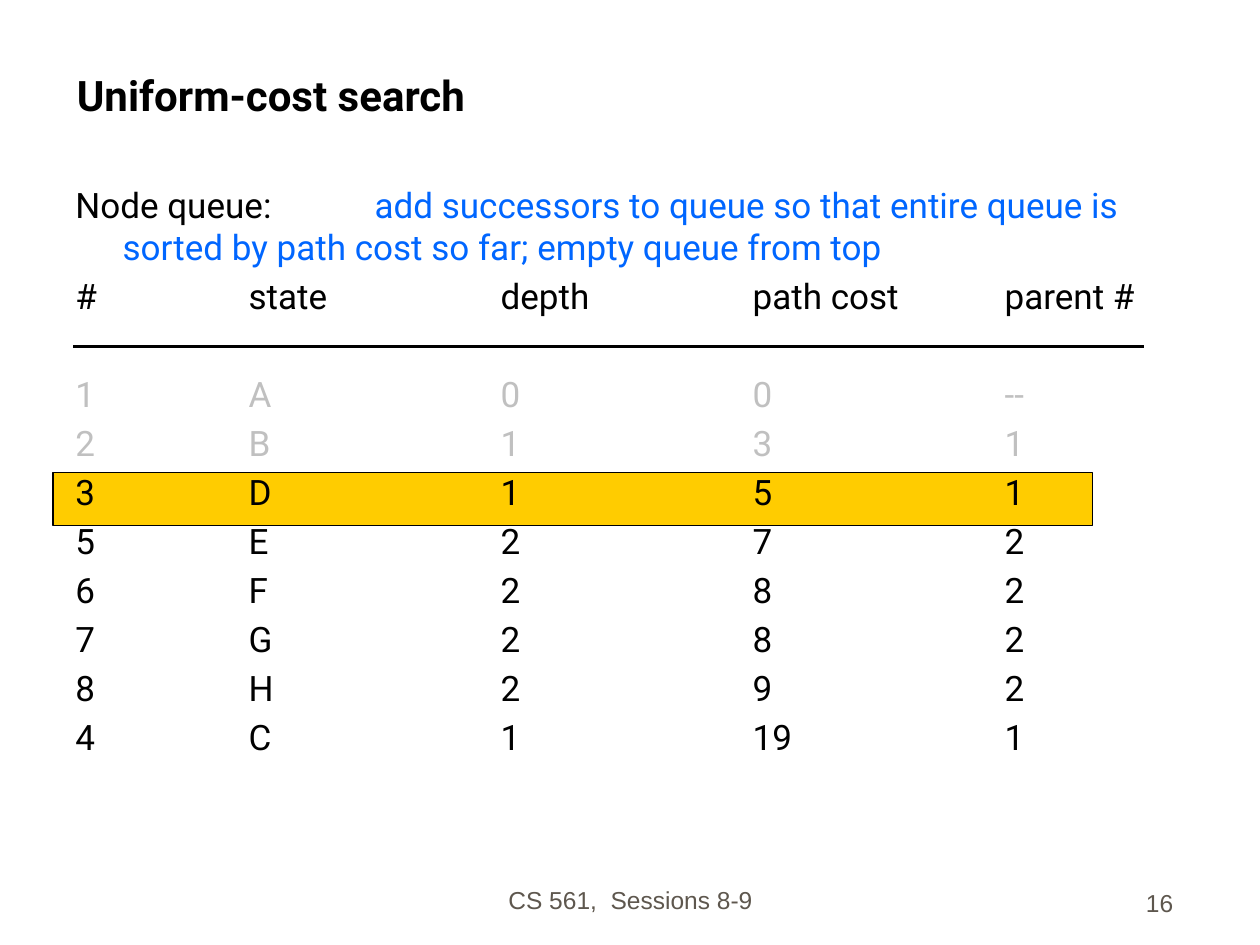
import pptx
import pptx.dml.color
import pptx.enum.shapes
import pptx.enum.text
import pptx.oxml
import pptx.oxml.ns
import pptx.util

Inches, Pt = pptx.util.Inches, pptx.util.Pt
RGB = pptx.dml.color.RGBColor.from_string
ALIGN, ANCHOR = pptx.enum.text.PP_ALIGN, pptx.enum.text.MSO_ANCHOR

THEME = {
    "ink": RGB("000000"), "rule": RGB("0066FF"), "visited": RGB("C0C0C0"),
    "highlight": RGB("FFCC00"), "footer": RGB("5E574E"),
    "font": "Roboto", "footer_font": "Arial",
    "title_size": Pt(24), "body_size": Pt(20), "footer_size": Pt(14),
}


def style(run, color, size=THEME["body_size"], face=THEME["font"], bold=False):
    run.font.name, run.font.size, run.font.bold = face, size, bold
    run.font.color.rgb = color


def set_indent_and_tabs(paragraph):
    """Give the paragraph a hanging indent and a tab stop every inch after it."""
    properties = paragraph._p.get_or_add_pPr()
    properties.set("marL", str(Inches(0.375)))
    properties.set("indent", str(-Inches(0.375)))
    properties.set("defTabSz", str(Inches(1)))


presentation = pptx.Presentation()
presentation.slide_width, presentation.slide_height = Inches(10), Inches(7.5)
slide = presentation.slides.add_slide(presentation.slide_layouts[5])

# Title
title = slide.shapes.title
title.left, title.top, title.width, title.height = map(Inches, (0.51, 0.25, 8.92, 0.75))
title.text_frame.text = "Uniform-cost search"
title.text_frame.vertical_anchor = ANCHOR.BOTTOM
title.text_frame.auto_size = pptx.enum.text.MSO_AUTO_SIZE.NONE
title.text_frame.paragraphs[0].alignment = ALIGN.LEFT
style(title.text_frame.paragraphs[0].runs[0], THEME["ink"], THEME["title_size"], bold=True)

# Footer and slide number
for words, place, alignment in (
    ("CS 561,  Sessions 8-9", (3.42, 6.81, 3.17, 0.5), ALIGN.CENTER),
    ("16", (7.33, 6.83, 2.08, 0.5), ALIGN.RIGHT),
):
    footer = slide.shapes.add_textbox(*map(Inches, place)).text_frame
    footer.word_wrap = True
    footer.vertical_anchor = ANCHOR.BOTTOM
    footer.text = words
    footer.paragraphs[0].alignment = alignment
    style(footer.paragraphs[0].runs[0], THEME["footer"], THEME["footer_size"], THEME["footer_font"])

# Highlight behind the node that is expanded next
current_node = slide.shapes.add_shape(
    pptx.enum.shapes.MSO_SHAPE.RECTANGLE, *map(Inches, (0.42, 3.75, 8.25, 0.42)))
current_node.shadow.inherit = False
current_node.fill.solid()
current_node.fill.fore_color.rgb = THEME["highlight"]
current_node.line.color.rgb = THEME["ink"]
current_node.line.width = Pt(0.75)

# Queue rule
queue = slide.shapes.add_textbox(*map(Inches, (0.5, 1.41, 8.94, 5.21))).text_frame
queue.word_wrap = True
queue_rule = queue.paragraphs[0]
set_indent_and_tabs(queue_rule)
for words, color in (
    ("Node queue:\t", THEME["ink"]),
    ("add successors to queue so that entire queue is sorted by path cost so far; "
     "empty queue from top", THEME["rule"]),
):
    run = queue_rule.add_run()
    run.text = words
    style(run, color)

# Queue columns and nodes, the visited ones greyed
HEADINGS = ("#", "state", "depth", "path cost", "parent #")
NODES = (
    ("1", "A", "0", "0", "--"),
    ("2", "B", "1", "3", "1"),
    ("3", "D", "1", "5", "1"),
    ("5", "E", "2", "7", "2"),
    ("6", "F", "2", "8", "2"),
    ("7", "G", "2", "8", "2"),
    ("8", "H", "2", "9", "2"),
    ("4", "C", "1", "19", "1"),
)
VISITED = {"1", "2"}
for node in (HEADINGS, *NODES):
    row = queue.add_paragraph()
    set_indent_and_tabs(row)
    row.space_before = Pt(32) if node == NODES[0] else Pt(4)
    # "path cost" already reaches past the first of its two tab stops
    row.text = "\t\t".join(node).replace("path cost\t\t", "path cost\t")
    for run in row.runs:
        style(run, THEME["visited"] if node[0] in VISITED else THEME["ink"])

# Line under the headings
heading_line = slide.shapes.add_connector(
    pptx.enum.shapes.MSO_CONNECTOR.STRAIGHT, *map(Inches, (0.58, 2.75, 9.08, 2.75)))
heading_line.line.color.rgb = THEME["ink"]
heading_line.line.width = Pt(2.25)
heading_line._element.spPr.append(
    pptx.oxml.parse_xml(f"<a:effectLst {pptx.oxml.ns.nsdecls('a')}/>"))

presentation.save("out.pptx")
